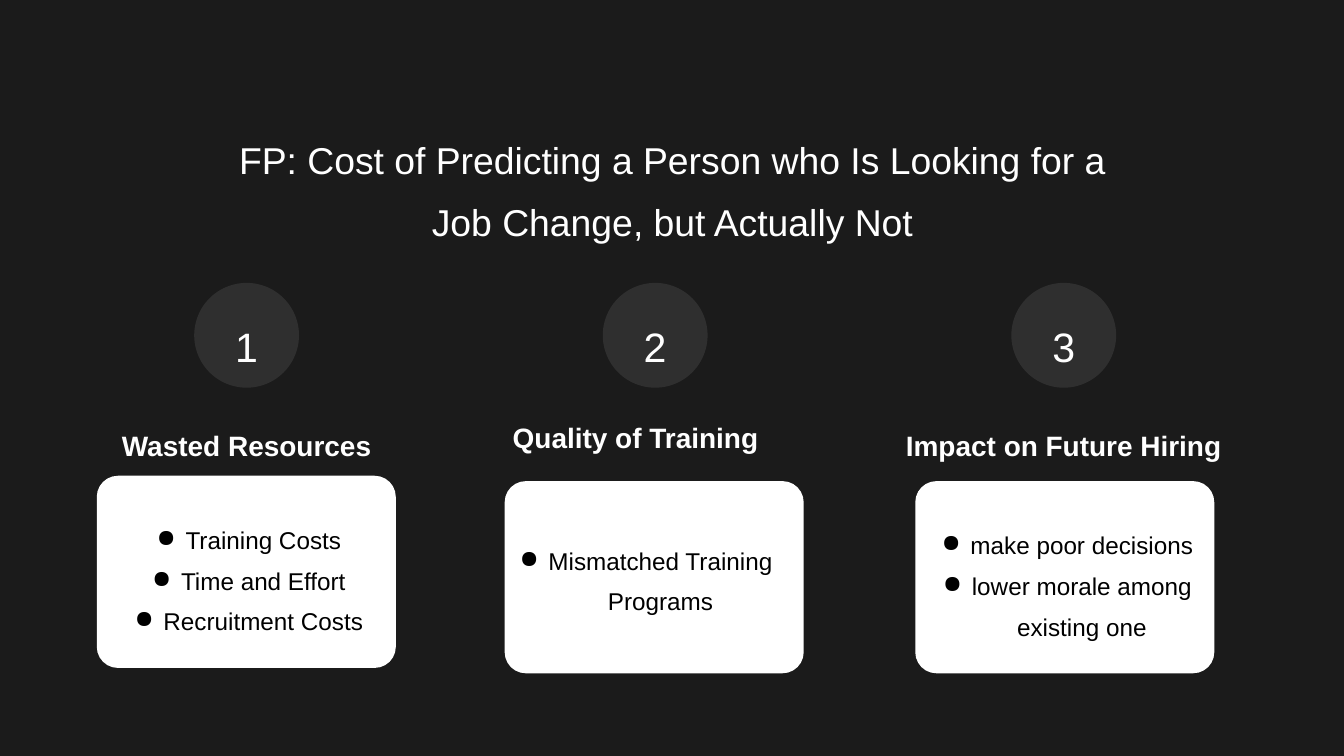
import pptx
import pptx.dml.color
import pptx.enum.shapes
import pptx.enum.text
import pptx.util
from lxml import etree
from pptx.oxml.ns import qn

Inches = pptx.util.Inches
Pt = pptx.util.Pt
RGBColor = pptx.dml.color.RGBColor
MSO_SHAPE = pptx.enum.shapes.MSO_SHAPE
PP_ALIGN = pptx.enum.text.PP_ALIGN

BACKGROUND = RGBColor(0x1B, 0x1B, 0x1B)
CIRCLE = RGBColor(0x2F, 0x2F, 0x2F)
WHITE = RGBColor(0xFF, 0xFF, 0xFF)
BLACK = RGBColor(0x00, 0x00, 0x00)

TITLE = ("FP: Cost of Predicting a Person who Is Looking for a "
         "Job Change, but Actually Not")

# Boxes are (left, top, width, height) in inches.
COLUMNS = [
    {
        "heading": "Wasted Resources",
        "heading_box": (1.27, 6.18, 4.8, 0.5),
        "heading_format": {"align": PP_ALIGN.CENTER, "spacing": 1.4},
        "card_at": (1.44, 7.08),
        "points": ["Training Costs", "Time and Effort", "Recruitment Costs"],
        "points_box": (1.27, 7.64, 4.8, 1.66),
    },
    {
        "heading": "Quality of Training",
        "heading_box": (7.63, 6.18, 4.24, 0.5),
        "heading_format": {"align": PP_ALIGN.LEFT, "spacing": 1.15},
        "card_at": (7.51, 7.16),
        "points": ["Mismatched Training Programs"],
        "points_box": (7.46, 7.95, 4.24, 1.05),
    },
    {
        "heading": "Impact on Future Hiring",
        "heading_box": (12.93, 6.18, 5.8, 0.5),
        "heading_format": {"align": PP_ALIGN.CENTER, "spacing": 1.4},
        "card_at": (13.62, 7.16),
        "points": ["make poor decisions", "lower morale among existing one"],
        "points_box": (13.69, 7.72, 4.32, 1.66),
    },
]

CARD_W, CARD_H = 4.45, 2.86
CIRCLE_LEFT, CIRCLE_TOP, CIRCLE_SIZE, CIRCLE_STEP = 2.89, 4.21, 1.56, 6.08
NUMBER_W, NUMBER_H, NUMBER_TOP = 0.86, 0.74, 4.63


def add_bullet(p):
    pPr = p._p.get_or_add_pPr()
    pPr.set("marL", str(Inches(0.5)))
    pPr.set("indent", str(Inches(-0.43)))
    color = etree.SubElement(pPr, qn("a:buClr"))
    etree.SubElement(color, qn("a:srgbClr"), val=str(BLACK))
    etree.SubElement(pPr, qn("a:buChar"), char="●")


def add_text(s, box, lines, size, color=WHITE, bold=False,
             align=PP_ALIGN.CENTER, spacing=1.4, bullets=False):
    tf = s.shapes.add_textbox(*map(Inches, box)).text_frame
    tf.word_wrap = True
    tf.auto_size = pptx.enum.text.MSO_AUTO_SIZE.SHAPE_TO_FIT_TEXT
    tf.margin_left = tf.margin_top = tf.margin_right = tf.margin_bottom = 0
    for i, line in enumerate(lines):
        p = tf.add_paragraph() if i else tf.paragraphs[0]
        p.alignment = align
        p.line_spacing = spacing
        if bullets:
            add_bullet(p)
        r = p.add_run()
        r.text = line
        r.font.name = "Arial"
        r.font.size = Pt(size)
        r.font.bold = bold
        r.font.color.rgb = color


def add_filled(s, kind, box, color):
    sp = s.shapes.add_shape(kind, *map(Inches, box))
    sp.shadow.inherit = False
    sp.fill.solid()
    sp.fill.fore_color.rgb = color
    sp.line.fill.background()
    return sp


def add_column(s, index, column):
    left = CIRCLE_LEFT + index * CIRCLE_STEP
    add_filled(s, MSO_SHAPE.OVAL,
               (left, CIRCLE_TOP, CIRCLE_SIZE, CIRCLE_SIZE), CIRCLE)
    number_left = left + (CIRCLE_SIZE - NUMBER_W) / 2
    add_text(s, (number_left, NUMBER_TOP, NUMBER_W, NUMBER_H),
             [str(index + 1)], 44, spacing=1.2)
    add_text(s, column["heading_box"], [column["heading"]], 30, bold=True,
             **column["heading_format"])
    card = add_filled(s, MSO_SHAPE.ROUNDED_RECTANGLE,
                      (*column["card_at"], CARD_W, CARD_H), WHITE)
    card.adjustments[0] = 0.11
    add_text(s, column["points_box"], column["points"], 26, color=BLACK,
             bullets=True)


def main():
    prs = pptx.Presentation()
    prs.slide_width, prs.slide_height = Inches(20), Inches(11.25)
    s = prs.slides.add_slide(prs.slide_layouts[6])
    s.background.fill.solid()
    s.background.fill.fore_color.rgb = BACKGROUND
    add_text(s, (3.43, 1.77, 13.15, 1.62), [TITLE], 40)
    for index, column in enumerate(COLUMNS):
        add_column(s, index, column)
    prs.save("out.pptx")


if __name__ == "__main__":
    main()
